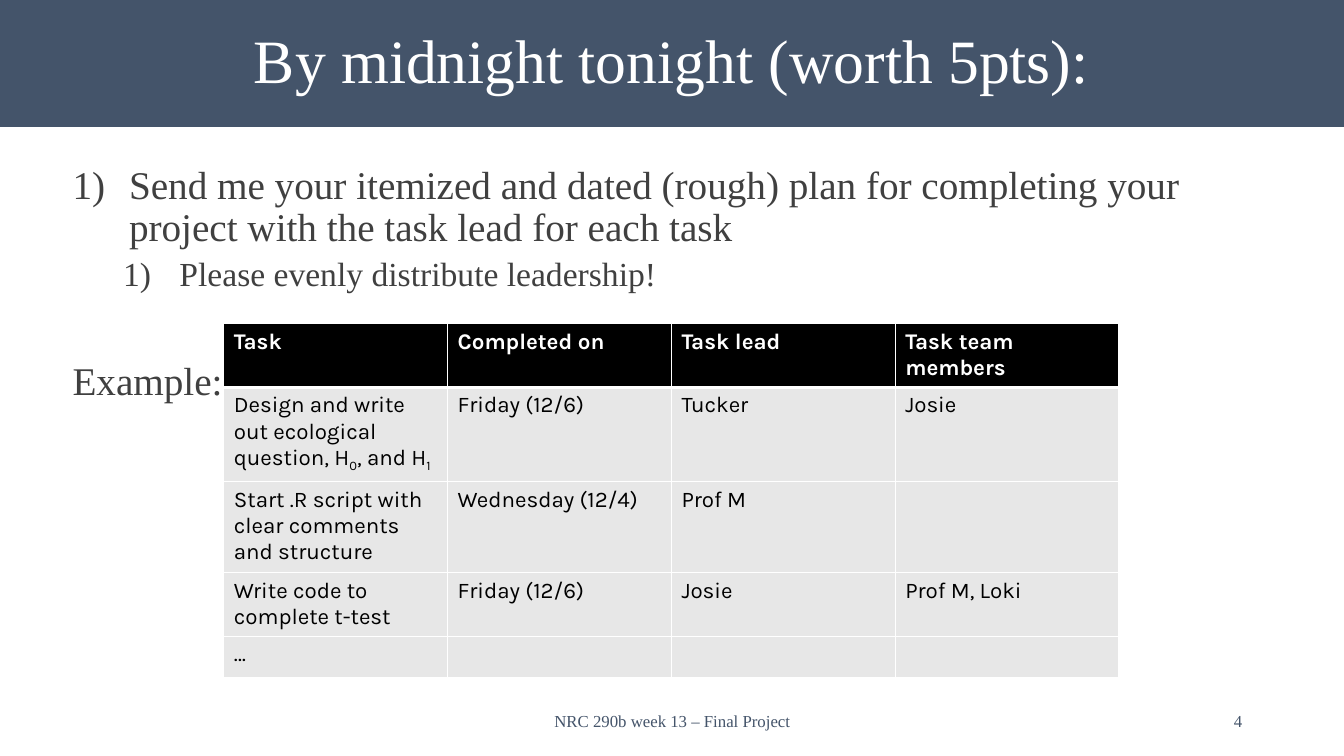
import pptx
import pptx.util
import pptx.dml.color
import pptx.enum.text
import pptx.oxml.ns
from lxml import etree

Inches, Pt = pptx.util.Inches, pptx.util.Pt
ALIGN, ANCHOR = pptx.enum.text.PP_ALIGN, pptx.enum.text.MSO_ANCHOR

SERIF, SANS = "Times New Roman", "Karla"
SLATE, GRAY, WHITE, BLACK, PALE = "44546A", "404040", "FFFFFF", "000000", "E7E7E7"

HEADING = "By midnight tonight (worth 5pts):"
# text, level, size, left margin, space before, numbered
INSTRUCTIONS = [
    ("Send me your itemized and dated (rough) plan for completing your "
     "project with the task lead for each task", 0, 28, 0.56, 10, True),
    ("Please evenly distribute leadership!", 1, 24, 1.06, 5, True),
    ("Example:", 0, 28, 0, 49, False),
]
# text, left, width, alignment
FOOTERS = [
    ("NRC 290b week 13 – Final Project", 4.42, 4.5, ALIGN.CENTER),
    ("4", 9.42, 3, ALIGN.RIGHT),
]
# Within a cell, every second piece is a subscript
PLAN = [
    ["Task", "Completed on", "Task lead", "Task team members"],
    [("Design and write out ecological question, H", "0", ", and H", "1"),
     "Friday (12/6)", "Tucker", "Josie"],
    ["Start .R script with clear comments and structure",
     "Wednesday (12/4)", "Prof M", ""],
    ["Write code to complete t-test", "Friday (12/6)", "Josie", "Prof M, Loki"],
    ["…", "", "", ""],
]
PLAN_LEFT, PLAN_TOP, COLUMN_WIDTH, ROW_HEIGHT = 2.22, 3.21, 2.22, 0.41
NUMBER_INDENT = 0.56


def color(hex_code):
    """Turn a hex string into a colour."""
    return pptx.dml.color.RGBColor.from_string(hex_code)


def fill(part, hex_code):
    """Give a shape or cell a solid fill."""
    part.fill.solid()
    part.fill.fore_color.rgb = color(hex_code)


def place(shape, left, top, width, height):
    """Set a shape's position and size in inches."""
    shape.left, shape.top = Inches(left), Inches(top)
    shape.width, shape.height = Inches(width), Inches(height)


def add_run(paragraph, text, size, font, hex_code, bold=False):
    """Append one formatted run."""
    run = paragraph.add_run()
    run.text = text
    run.font.size, run.font.name, run.font.bold = Pt(size), font, bold
    run.font.color.rgb = color(hex_code)
    return run


def add_xml(parent, tag, **attributes):
    """Append a drawing element with the given attributes."""
    return etree.SubElement(parent, pptx.oxml.ns.qn(tag), **attributes)


def set_marker(paragraph, margin, numbered):
    """Set the hanging indent and the number of a paragraph."""
    properties = paragraph._p.get_or_add_pPr()
    properties.set("marL", str(Inches(margin)))
    properties.set("indent", str(-Inches(NUMBER_INDENT) if numbered else 0))
    if numbered:
        add_xml(properties, "a:buFont", typeface=SERIF)
        add_xml(properties, "a:buAutoNum", type="arabicParenR")
    else:
        add_xml(properties, "a:buNone")


def set_borders(cell, top, bottom):
    """Draw white cell borders, 1 pt at the sides."""
    properties = cell._tc.get_or_add_tcPr()
    for side, width in (("L", 1), ("R", 1), ("T", top), ("B", bottom)):
        line = add_xml(properties, "a:ln" + side, w=str(Pt(width)))
        add_xml(add_xml(line, "a:solidFill"), "a:srgbClr", val=WHITE)


def add_heading(slide):
    """Fill the title band."""
    title = slide.shapes.title
    place(title, 0, 0, 13.33, 1.26)
    fill(title, SLATE)
    frame = title.text_frame
    frame.auto_size = pptx.enum.text.MSO_AUTO_SIZE.NONE
    frame.vertical_anchor = ANCHOR.MIDDLE
    paragraph = frame.paragraphs[0]
    paragraph.alignment, paragraph.line_spacing = ALIGN.CENTER, 0.9
    add_run(paragraph, HEADING, 44, SERIF, WHITE)


def add_instructions(slide):
    """Fill the body with the numbered instructions."""
    body = slide.placeholders[1]
    place(body, 0.62, 1.59, 12.03, 4.9)
    frame = body.text_frame
    frame.auto_size = pptx.enum.text.MSO_AUTO_SIZE.NONE
    for i, (text, level, size, margin, before, numbered) in enumerate(INSTRUCTIONS):
        paragraph = frame.add_paragraph() if i else frame.paragraphs[0]
        paragraph.level, paragraph.line_spacing = level, 0.9
        paragraph.space_before = Pt(before)
        set_marker(paragraph, margin, numbered)
        add_run(paragraph, text, size, SERIF, GRAY)


def add_footers(slide):
    """Add the footer line and the page number."""
    for text, left, width, alignment in FOOTERS:
        footer = slide.shapes.add_textbox(
            Inches(left), Inches(6.95), Inches(width), Inches(0.4))
        frame = footer.text_frame
        frame.word_wrap, frame.vertical_anchor = True, ANCHOR.MIDDLE
        frame.paragraphs[0].alignment = alignment
        add_run(frame.paragraphs[0], text, 12, SERIF, SLATE)


def add_plan(slide):
    """Add the example plan table."""
    rows, columns = len(PLAN), len(PLAN[0])
    plan = slide.shapes.add_table(
        rows, columns, Inches(PLAN_LEFT), Inches(PLAN_TOP),
        Inches(COLUMN_WIDTH * columns), Inches(ROW_HEIGHT * rows)).table
    for r, entries in enumerate(PLAN):
        header = r == 0
        for c, entry in enumerate(entries):
            cell = plan.cell(r, c)
            set_borders(cell, 3 if r == 1 else 1, 3 if header else 1)
            fill(cell, BLACK if header else PALE)
            pieces = (entry,) if isinstance(entry, str) else entry
            for i, piece in enumerate(pieces):
                if not piece:
                    continue
                run = add_run(cell.text_frame.paragraphs[0], piece, 16, SANS,
                              WHITE if header else BLACK, header)
                if i % 2:
                    run._r.get_or_add_rPr().set("baseline", "-25000")


deck = pptx.Presentation()
deck.slide_width, deck.slide_height = Inches(13.33), Inches(7.5)
slide = deck.slides.add_slide(deck.slide_layouts[1])
add_heading(slide)
add_instructions(slide)
add_footers(slide)
add_plan(slide)
deck.save("out.pptx")
